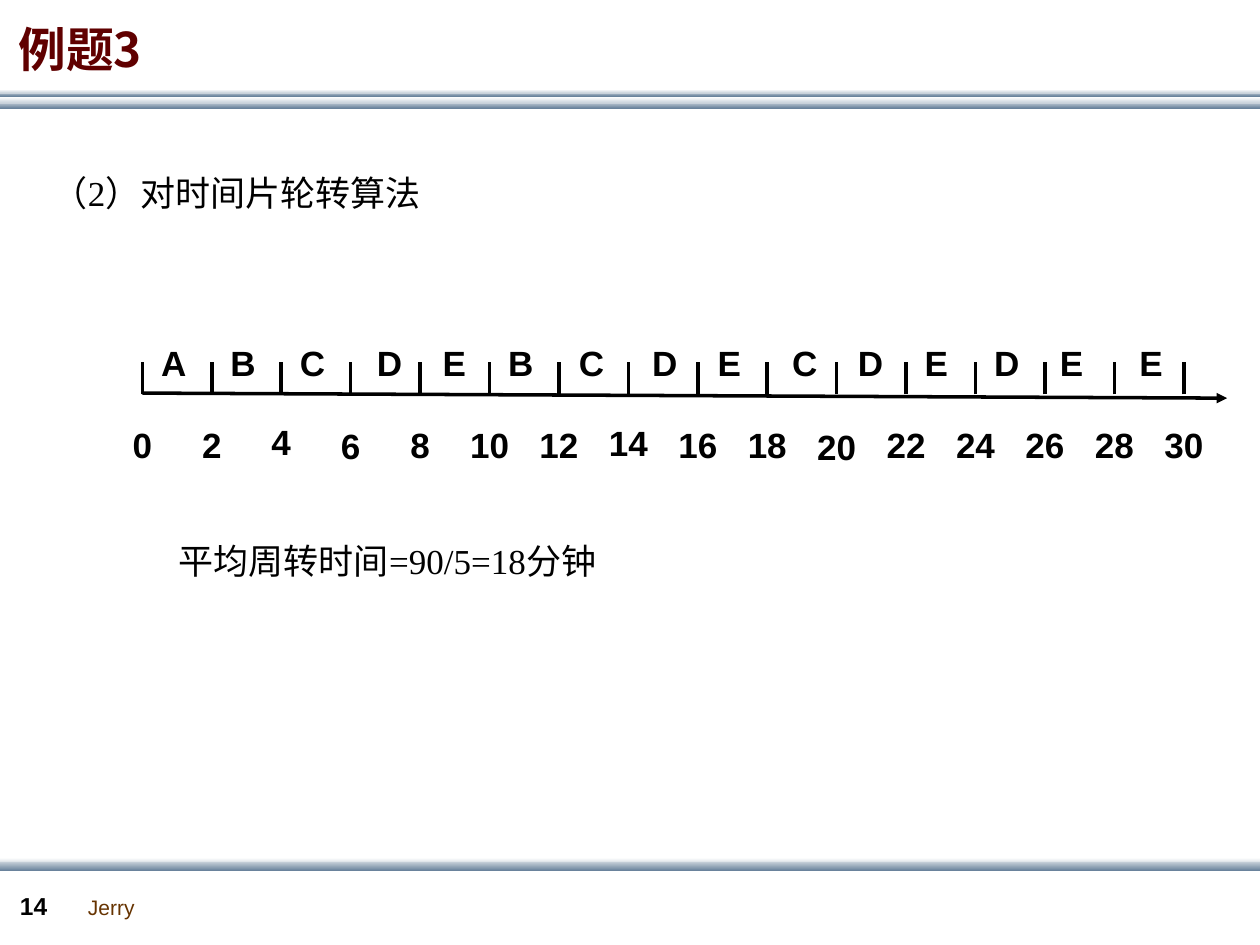
from lxml.etree import SubElement
from pptx import Presentation
from pptx.dml.color import RGBColor
from pptx.enum.shapes import MSO_CONNECTOR, MSO_SHAPE
from pptx.enum.text import MSO_ANCHOR, PP_ALIGN
from pptx.oxml.ns import qn
from pptx.util import Inches, Pt

THEME = {
    "ink": "000000", "title": "600000", "author": "663300",
    "light": ("FFFFFF", "C8D1DA"), "dark": ("C8D1DA", "6A839C"),
    "sans": "Arial", "serif": "Times New Roman", "chinese": "Noto Sans CJK SC",
    "title_size": 27.2, "body_size": 20, "number_size": 14, "author_size": 12,
    "line_width": 2,
}

deck = Presentation()
deck.slide_width, deck.slide_height = Inches(10), Inches(7.5)
page = deck.slides.add_slide(deck.slide_layouts[6])

# Grid of 100 columns by 75 rows
COLUMN, ROW = deck.slide_width / 100, deck.slide_height / 75


def add_text(text, left, top, width, height, font, size, color="ink",
             bold=False, align=PP_ALIGN.LEFT, **frame_format):
    box = page.shapes.add_textbox(int(left * COLUMN), int(top * ROW),
                                  int(width * COLUMN), int(height * ROW))
    for name, value in {"word_wrap": True, **frame_format}.items():
        setattr(box.text_frame, name, value)
    para = box.text_frame.paragraphs[0]
    para.alignment = align
    span = para.add_run()
    span.text = text
    for name, value in {"name": THEME[font], "size": Pt(THEME[size]), "bold": bold}.items():
        setattr(span.font, name, value)
    span.font.color.rgb = RGBColor.from_string(THEME[color])
    SubElement(span.font._element, qn("a:ea"), typeface=THEME["chinese"])
    return para


def add_line(start_x, start_y, end_x, end_y, arrow=False):
    line = page.shapes.add_connector(
        MSO_CONNECTOR.STRAIGHT, int(start_x * COLUMN), int(start_y * ROW),
        int(end_x * COLUMN), int(end_y * ROW))
    line.line.width = Pt(THEME["line_width"])
    line.line.color.rgb = RGBColor.from_string(THEME["ink"])
    if arrow:
        SubElement(line.line._get_or_add_ln(), qn("a:tailEnd"), type="triangle")
    SubElement(line._element.spPr, qn("a:effectLst"))


# Header and footer stripes: top, height, shade
for top, height, shade in [
    (8.1, 0.5, "dark"), (7.3, 0.35, "dark"), (7.7, 0.5, "light"),
    (7.1, 0.3, "light"), (68.1, 0.5, "light"), (68.4, 0.7, "dark"),
]:
    stripe = page.shapes.add_shape(MSO_SHAPE.RECTANGLE, 0, int(top * ROW),
                                   int(100.1 * COLUMN), int(height * ROW))
    stripe.shadow.inherit = False
    stripe.line.fill.background()
    stripe.fill.gradient()
    stripe.fill.gradient_angle = 270
    for stop, color in zip(stripe.fill.gradient_stops, THEME[shade]):
        stop.color.rgb = RGBColor.from_string(color)

# Footer
add_text("Jerry", 6, 70.5, 5.7, 3, "sans", "author_size", "author", word_wrap=False)
add_text("14", 0.6, 70.2, 5.5, 3.4, "sans", "number_size", bold=True)

# Title and statements
title = add_text("例题3", 0.5, 0, 13.6, 8.3, "chinese", "title_size", "title",
                 bold=True, vertical_anchor=MSO_ANCHOR.MIDDLE)
title.line_spacing = 0.9
add_text("（2）对时间片轮转算法", 3.2, 13.1, 34.3, 4.4, "serif", "body_size")
add_text("平均周转时间=90/5=18分钟", 13.2, 42.3, 59.7, 4.4, "serif", "body_size")

# Time axis with a tick and a time for every slice boundary
ORIGIN, SLICE, MINUTES = 11.3, 5.51, 2
JOBS = "ABCDEBCDECDEDEE"
add_line(ORIGIN, 31.2, 97.4, 31.6, arrow=True)
time_drop = {4: -0.2, 6: 0.1, 14: -0.1, 20: 0.2}
for index in range(len(JOBS) + 1):
    tick, time = ORIGIN + index * SLICE, index * MINUTES
    add_line(tick, 31.3, tick, 28.7)
    add_text(str(time), tick - 3.45, 33.1 + time_drop.get(time, 0), 6.9, 4.4,
             "sans", "body_size", bold=True, align=PP_ALIGN.CENTER)

# Job that runs in each slice, with its shift from the usual place
job_shifts = [0, 0, 0, 0.6, 0.3, 0, 0.1, 0.4, 0.1, 0.5, 0.2, 0, 0, -0.3, 0.5]
for index, (job, shift) in enumerate(zip(JOBS, job_shifts)):
    add_text(job, ORIGIN + 0.5 + index * SLICE + shift, 26.6, 5.6, 4.4,
             "sans", "body_size", bold=True)

deck.save("out.pptx")
